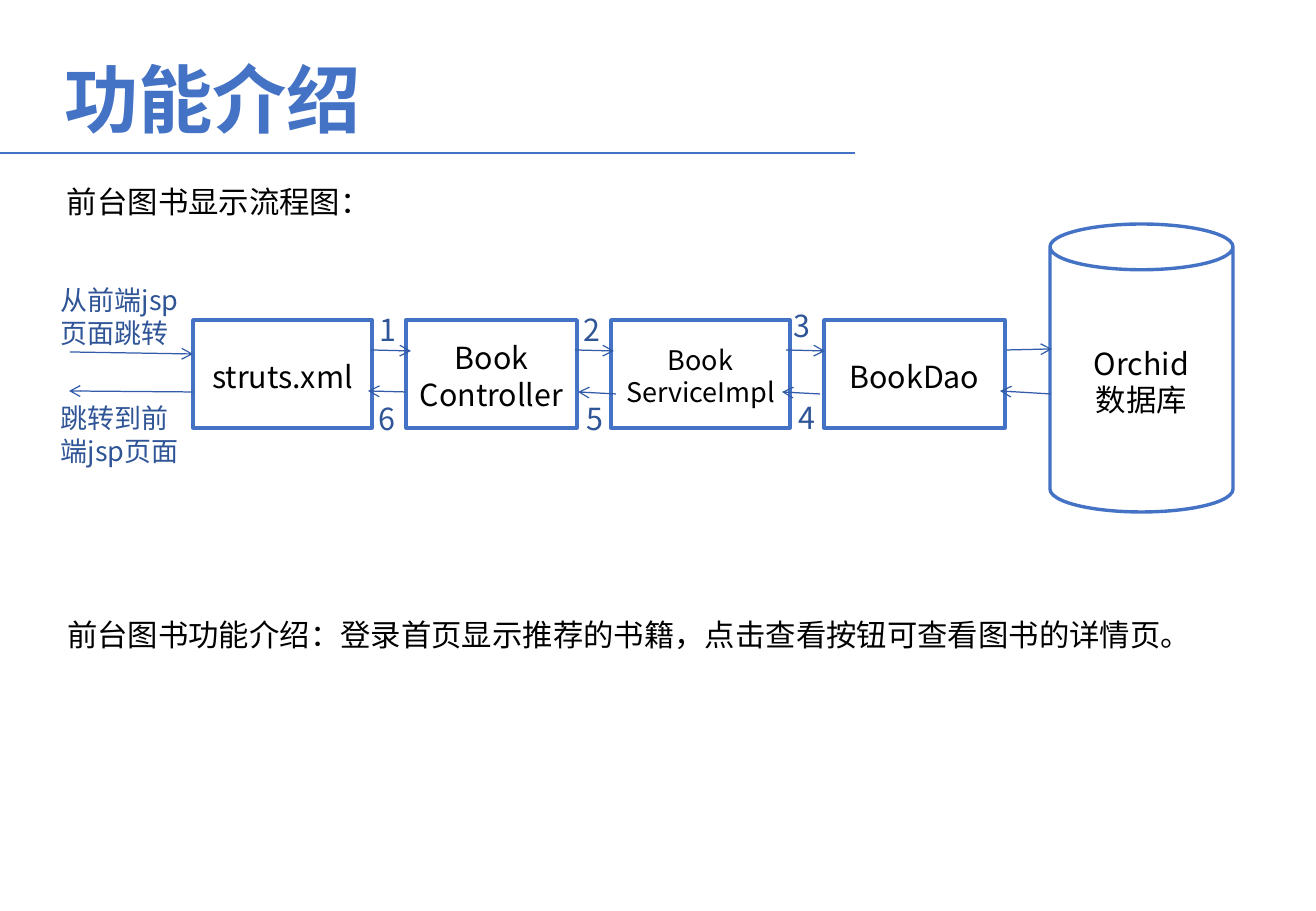
from pptx import Presentation
from pptx.dml.color import RGBColor
from pptx.enum.shapes import MSO_CONNECTOR, MSO_SHAPE as SHAPE
from pptx.enum.text import MSO_ANCHOR as ANCHOR, PP_ALIGN as ALIGN
from pptx.oxml.ns import qn
from pptx.util import Emu, Pt
from lxml.etree import SubElement

FONT = "Noto Sans CJK SC"
BLUE, ARROW, LABEL, BLACK, WHITE = "4472C4", "325CA9", "2F5597", "000000", "FFFFFF"


def px(n):
    return Emu(round(n * 914400 / 121.5))


def rgb(value):
    return RGBColor.from_string(value)


def set_text(sp, text, size, color, bold=False, align=ALIGN.LEFT, wrap=True):
    tf = sp.text_frame
    tf.text = text
    tf.word_wrap = wrap
    tf.margin_left = tf.margin_right = px(12)
    tf.margin_top, tf.margin_bottom = px(8), px(4)
    for p in tf.paragraphs:
        p.alignment = align
        p.line_spacing = Pt(size * 1.2)
        for r in p.runs:
            r.font.name = FONT
            r.font.size = Pt(size)
            r.font.bold = bold
            r.font.color.rgb = rgb(color)
            SubElement(r.font._element, qn("a:ea")).set("typeface", FONT)


def add_text(s, x, y, w, h, text, size, color, **style):
    sp = s.shapes.add_textbox(px(x), px(y), px(w), px(h))
    set_text(sp, text, size, color, **style)


def add_node(s, kind, x, y, w, h, text, size):
    sp = s.shapes.add_shape(kind, px(x), px(y), px(w), px(h))
    sp.shadow.inherit = False
    sp.fill.solid()
    sp.fill.fore_color.rgb = rgb(WHITE)
    sp.line.color.rgb = rgb(BLUE)
    sp.line.width = Pt(2)
    set_text(sp, text, size, BLACK, align=ALIGN.CENTER)
    sp.text_frame.vertical_anchor = ANCHOR.MIDDLE


def add_line(s, x1, y1, x2, y2, color, width, arrow=False):
    c = s.shapes.add_connector(MSO_CONNECTOR.STRAIGHT, px(x1), px(y1), px(x2), px(y2))
    c.line.color.rgb = rgb(color)
    c.line.width = Pt(width)
    if arrow:
        SubElement(c.line._get_or_add_ln(), qn("a:tailEnd")).set("type", "arrow")
    SubElement(c._element.spPr, qn("a:effectLst"))


def header(s, x, y, w, h, title):
    add_line(s, x, y + h, x + w, y + h, BLUE, 1.25)
    add_text(s, x + 52, y + 45, w - 52, 100, title, 44, BLUE, bold=True)


def flow(s, x, y, h):
    nodes = [
        (144, 179, "struts.xml", 18),
        (357, 171, "Book\nController", 18),
        (562, 179, "Book\nServiceImpl", 16),
        (775, 181, "BookDao", 18),
    ]
    for left, w, text, size in nodes:
        add_node(s, SHAPE.RECTANGLE, x + left, y + 96, w, 108, text, size)
    add_node(s, SHAPE.CAN, x + 1001, y, 183, h, "Orchid\n数据库", 18)

    arrows = [
        (21, 128, 144, 130), (322, 126, 362, 127), (526, 126, 565, 127),
        (737, 126, 776, 127), (958, 126, 1003, 125),
        (1002, 170, 951, 167), (771, 170, 733, 168), (567, 170, 529, 168),
        (357, 168, 319, 167), (144, 168, 20, 167),
    ]
    for x1, y1, x2, y2 in arrows:
        add_line(s, x + x1, y + y1, x + x2, y + y2, ARROW, 0.75, arrow=True)

    add_text(s, x, y + 52, 166, 78, "从前端jsp页面跳转", 16, LABEL)
    add_text(s, x, y + 170, 157, 78, "跳转到前端jsp页面", 16, LABEL)
    steps = [(319, 79), (523, 79), (733, 75), (738, 167), (526, 168), (318, 168)]
    for number, (left, top) in enumerate(steps, 1):
        add_text(s, x + left, y + top, 44, 49, str(number), 18, LABEL)


def main():
    prs = Presentation()
    prs.slide_width, prs.slide_height = px(1316), px(911)
    s = prs.slides.add_slide(prs.slide_layouts[6])
    header(s, 0, 0, 855, 153, "功能介绍")
    add_text(s, 55, 175, 329, 49, "前台图书显示流程图：", 18, BLACK)
    flow(s, 49, 224, 288)
    add_text(s, 55, 608, 1148, 49,
             "前台图书功能介绍：登录首页显示推荐的书籍，点击查看按钮可查看图书的详情页。",
             18, BLACK, wrap=False)
    prs.save("out.pptx")


main()
